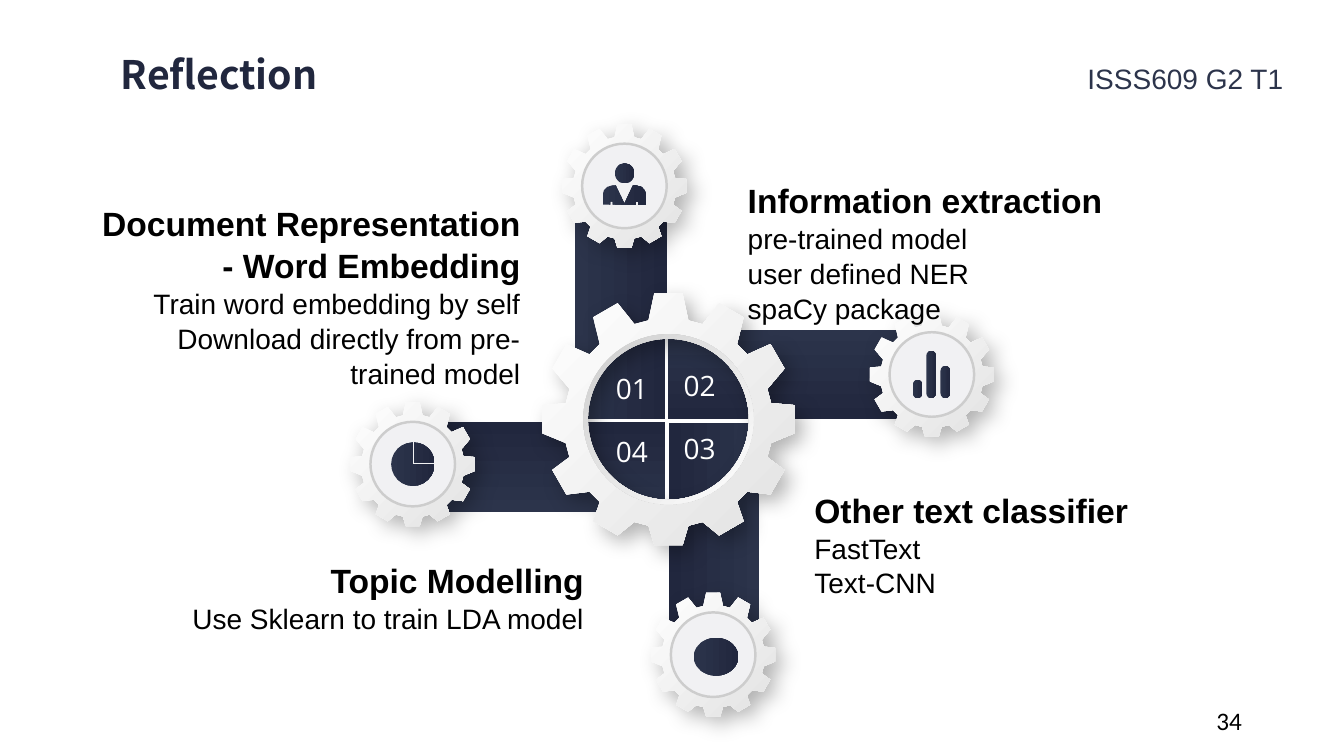
"""Build the Reflection slide: four topics around a central gear."""
from math import cos, radians, sin

from lxml import etree
from pptx import Presentation
from pptx.dml.color import RGBColor
from pptx.enum.shapes import MSO_SHAPE
from pptx.enum.text import MSO_ANCHOR, PP_ALIGN
from pptx.oxml.ns import qn
from pptx.util import Pt

LEFT, CENTER, RIGHT = PP_ALIGN.LEFT, PP_ALIGN.CENTER, PP_ALIGN.RIGHT
MIDDLE = MSO_ANCHOR.MIDDLE
RECTANGLE, ROUNDED = MSO_SHAPE.RECTANGLE, MSO_SHAPE.ROUNDED_RECTANGLE
OVAL, DONUT, PIE = MSO_SHAPE.OVAL, MSO_SHAPE.DONUT, MSO_SHAPE.PIE
NAVY = ("2C344B", "21273E")
SILVER = ("FFFFFF", "E2E2E2")
RIM = ("CDCDCD", "FFFFFF")


def paint(shape, *colors, angle=0, line=None, width=0):
    """Fill with one colour or a two-colour gradient and set the outline."""
    shape.shadow.inherit = False
    if len(colors) == 1:
        shape.fill.solid()
        shape.fill.fore_color.rgb = RGBColor.from_string(colors[0])
    else:
        shape.fill.gradient()
        shape.fill.gradient_angle = angle
        for stop, color in zip(shape.fill.gradient_stops, colors):
            stop.color.rgb = RGBColor.from_string(color)
    if line:
        shape.line.color.rgb = RGBColor.from_string(line)
        shape.line.width = Pt(width)
    else:
        shape.line.fill.background()


def write_text(text, left, top, width, height, *, size=20, heads=0, font="Arial",
               color="000000", align=LEFT, wrap=True, inset=7.2, spacing=1.0,
               anchor=MSO_ANCHOR.TOP):
    """Add a text box whose first `heads` paragraphs are bold headings."""
    box = page.shapes.add_textbox(Pt(left), Pt(top), Pt(width), Pt(height))
    frame = box.text_frame
    frame.word_wrap = wrap
    frame.vertical_anchor = anchor
    frame.margin_left = frame.margin_right = Pt(inset)
    frame.margin_top = Pt(inset / 2)
    for index, words in enumerate(text.split("\n")):
        para = frame.add_paragraph() if index else frame.paragraphs[0]
        para.alignment = align
        para.line_spacing = spacing
        span = para.add_run()
        span.text = words
        span.font.name = font
        span.font.bold = index < heads
        span.font.size = Pt(size + 4 if index < heads else size)
        span.font.color.rgb = RGBColor.from_string(color)


deck = Presentation()
deck.slide_width, deck.slide_height = Pt(960), Pt(540)
page = deck.slides.add_slide(deck.slide_layouts[6])

write_text("ISSS609 G2 T1", 769.7, 40.3, 155.5, 31.7, color="2C344B", wrap=False)
write_text("34", 678.2, 500.4, 216, 28.8, size=18, font="Calibri", align=RIGHT,
           anchor=MIDDLE)

bar_width, bar_length = 66.2, 173.5
bar_centers = [(443.5, 214.2), (563, 267.5), (509.8, 387.7), (389.5, 333.7)]
for index, (x, y) in enumerate(bar_centers):
    bar = page.shapes.add_shape(RECTANGLE, Pt(x - bar_width / 2), Pt(y - bar_length / 2),
                                Pt(bar_width), Pt(bar_length))
    bar.rotation = 90 * index
    paint(bar, *NAVY, line="FFFFFF", width=2 if index else 0)

hub = (477.5, 299.5)
pie_gear, person_gear = (294.8, 331.5), (446, 132.8)
chart_gear, bird_gear = (665.6, 267.5), (509.4, 467.6)
hub_radius, small_radius = 90, 44.3
for x, y in (hub, pie_gear, person_gear, chart_gear, bird_gear):
    is_hub = (x, y) == hub
    radius = hub_radius if is_hub else small_radius
    outline = []
    for tooth in range(0, 360, 30):
        for turn, reach, drop in ((-11, 0.83, 0.03), (-6.4, 1.006, 0),
                                  (6.4, 1.006, 0), (11, 0.83, 0.03)):
            angle = radians(tooth + turn)
            outline.append((Pt(x + radius * reach * sin(angle)),
                            Pt(y + radius * (drop - reach * cos(angle)))))
    builder = page.shapes.build_freeform(*outline[0])
    builder.add_line_segments(outline[1:])
    if is_hub:
        hole = [(Pt(x + 58.2 * cos(radians(step))), Pt(y - 58.2 * sin(radians(step))))
                for step in range(0, 360, 4)]
        builder.move_to(*hole[0])
        builder.add_line_segments(hole[1:])
    gear = builder.convert_to_shape()
    paint(gear, *SILVER, angle=315)
    effects = gear.element.spPr.find(qn("a:effectLst"))
    shadow = etree.SubElement(effects, qn("a:outerShdw"), blurRad=str(Pt(15)),
                              dist=str(Pt(7)), dir="2700000", algn="tl", rotWithShape="0")
    shade = etree.SubElement(shadow, qn("a:srgbClr"), val="000000")
    etree.SubElement(shade, qn("a:alpha"), val="30000")
    disc_radius = 60.8 if is_hub else 30.2
    disc = page.shapes.add_shape(DONUT if is_hub else OVAL, Pt(x - disc_radius),
                                 Pt(y - disc_radius), Pt(2 * disc_radius), Pt(2 * disc_radius))
    if is_hub:
        disc.adjustments[0] = 0.027
        paint(disc, *RIM, angle=315)
    else:
        paint(disc, "F1F1F3", line="CDCDCD", width=1.75)

icon_parts = [
    (ROUNDED, 661.7, 250.6, 6.8, 33.8, [0.5]),
    (ROUNDED, 652, 271.4, 6.8, 13, [0.5]),
    (ROUNDED, 671.8, 261.4, 6.8, 23, [0.5]),
    (OVAL, bird_gear[0] - 14, bird_gear[1] - 12, 32, 27, []),
    (PIE, 281.5, 316.1, 28.8, 28.8, [162, 0]),
    (PIE, 279.4, 316.1, 31, 31, [0, 162]),
    (OVAL, 439.2, 116.6, 13.8, 14.4, []),
]
for kind, left, top, width, height, adjustments in icon_parts:
    part = page.shapes.add_shape(kind, Pt(left), Pt(top), Pt(width), Pt(height))
    for index, value in enumerate(adjustments):
        part.adjustments[index] = value
    paint(part, *NAVY)

half_body = [(8.3, 13.4), (8.3, 11.2), (9.9, 11.2), (9.9, 13.4), (15.5, 13.4), (15.5, 6.5),
             (14.6, 3.2), (12.2, 0.7), (8.6, -0.3), (6.1, -0.3)]
body = half_body + [(0, 12.6)] + [(-x, y) for x, y in reversed(half_body)]
body_points = [(Pt(person_gear[0] + x), Pt(person_gear[1] + y)) for x, y in body]
builder = page.shapes.build_freeform(*body_points[0])
builder.add_line_segments(body_points[1:])
paint(builder.convert_to_shape(), *NAVY)

for number, x, y in (("01", 451.4, 262.1), ("02", 499.7, 259.9),
                     ("03", 499.7, 304.6), ("04", 451.4, 306.7)):
    write_text(number, x - 30, y, 60, 31.7, font="Open Sans", color="FFFFFF", align=CENTER)

topics = [
    ("Topic Modelling\nUse Sklearn to train LDA model",
     92.9, 395.3, 331.2, 60.5, 1, RIGHT),
    ("Document Representation\n- Word Embedding\nTrain word embedding by self\n"
     "Download directly from pre-trained model", 59.8, 140.4, 319, 138.2, 2, RIGHT),
    ("Information extraction\npre-trained model\nuser defined NER\nspaCy package",
     527, 123.8, 289.4, 108.7, 1, LEFT),
    ("Other text classifier\nFastText\nText-CNN", 574.6, 344.9, 265, 85, 1, LEFT),
]
for text, left, top, width, height, heads, align in topics:
    write_text(text, left, top, width, height, heads=heads, align=align, spacing=1.04)

write_text("Reflection", 86.4, 33.8, 143.3, 37.4, size=24, heads=1, color="21273E",
           font="Noto Sans CJK SC", wrap=False, inset=0, spacing=Pt(36))

deck.save("out.pptx")
